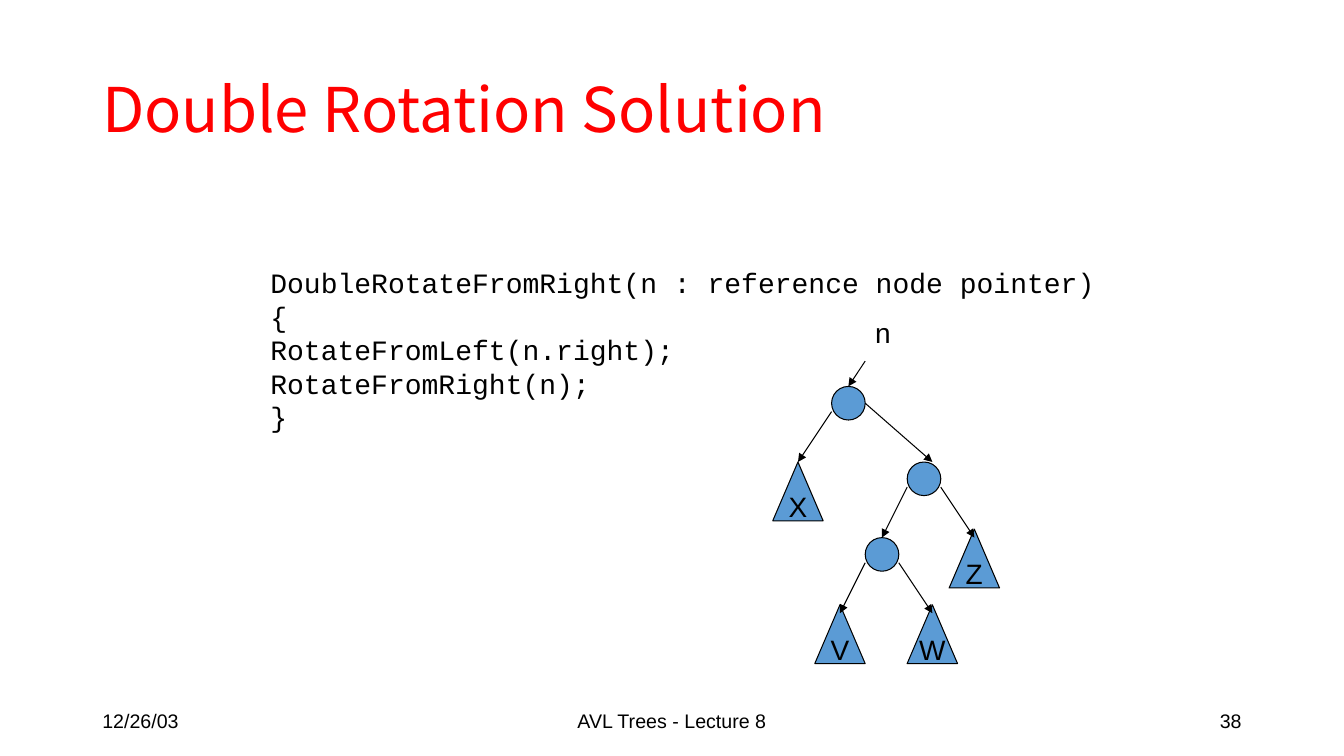
from pptx import Presentation
from pptx.dml.color import RGBColor
from pptx.enum.shapes import MSO_CONNECTOR as CONN, MSO_SHAPE as SHAPE
from pptx.enum.text import MSO_ANCHOR as ANCHOR, PP_ALIGN as ALIGN
from pptx.oxml.ns import qn
from pptx.util import Pt
from lxml.etree import SubElement

PX = 9525  # 96 px to the inch
BLACK, BLUE, RED = "000000", "5B9BD5", "FF0000"


def color(value):
    return RGBColor.from_string(value)


def add_text(text, box=None, sp=None, font="Arial", size=20, fill=BLACK,
             align=ALIGN.LEFT, anchor=ANCHOR.TOP, wrap=True, spacing=None):
    sp = sp or s.shapes.add_textbox(*(v * PX for v in box))
    tf = sp.text_frame
    tf.word_wrap = wrap
    tf.vertical_anchor = anchor
    for i, line in enumerate(text.split("\n")):
        p = tf.paragraphs[0] if i == 0 else tf.add_paragraph()
        p.alignment = align
        p.line_spacing = spacing
        r = p.add_run()
        r.text = line
        r.font.name = font
        r.font.size = Pt(size)
        r.font.color.rgb = color(fill)
        SubElement(r.font._element, qn("a:ea")).set("typeface", font)


prs = Presentation()
prs.slide_width, prs.slide_height = 1280 * PX, 720 * PX
s = prs.slides.add_slide(prs.slide_layouts[6])

# Title
add_text("Double Rotation Solution", (88, 38, 1104, 139), size=44, fill=RED,
         font="Noto Sans CJK KR", anchor=ANCHOR.MIDDLE, spacing=0.9)

# Code, its first line wrapping before the brace
add_text("DoubleRotateFromRight(n : reference node pointer) {\n"
         "RotateFromLeft(n.right);\nRotateFromRight(n);\n}",
         (248, 248, 832, 137), font="Courier New")

# Tree nodes and subtrees: left, top, label
nodes = [(792, 368, ""), (864, 440, ""), (824, 512, "")]
subtrees = [(736, 440, "X"), (904, 504, "Z"), (776, 576, "V"), (864, 576, "W")]
for kind, width, height, items in ((SHAPE.OVAL, 32, 32, nodes),
                                   (SHAPE.ISOSCELES_TRIANGLE, 48, 56, subtrees)):
    for x, y, label in items:
        sp = s.shapes.add_shape(kind, x * PX, y * PX, width * PX, height * PX)
        sp.shadow.inherit = False
        sp.fill.solid()
        sp.fill.fore_color.rgb = color(BLUE)
        sp.line.color.rgb = color(BLACK)
        sp.line.width = Pt(0.75)
        if label:
            add_text(label, sp=sp, align=ALIGN.CENTER, anchor=ANCHOR.MIDDLE,
                     wrap=False)

# Pointer label and arrows
add_text("n", (824, 296, 34, 41), wrap=False)
arrows = [(824, 344, 808, 368),
          (792, 392, 760, 440), (824, 384, 888, 440),
          (864, 464, 840, 512), (896, 464, 928, 512),
          (824, 536, 800, 584), (856, 536, 888, 584)]
for ends in arrows:
    arrow = s.shapes.add_connector(CONN.STRAIGHT, *(v * PX for v in ends))
    arrow.line.color.rgb = color(BLACK)
    arrow.line.width = Pt(0.75)
    SubElement(arrow.line._get_or_add_ln(), qn("a:tailEnd")).set("type", "triangle")
    SubElement(arrow._element.spPr, qn("a:effectLst"))

# Footer
for text, x, width, align in (("12/26/03", 88, 288, ALIGN.LEFT),
                              ("AVL Trees - Lecture 8", 424, 432, ALIGN.CENTER),
                              ("38", 904, 288, ALIGN.RIGHT)):
    add_text(text, (x, 667, width, 38), size=14, align=align, anchor=ANCHOR.MIDDLE)

prs.save("out.pptx")
